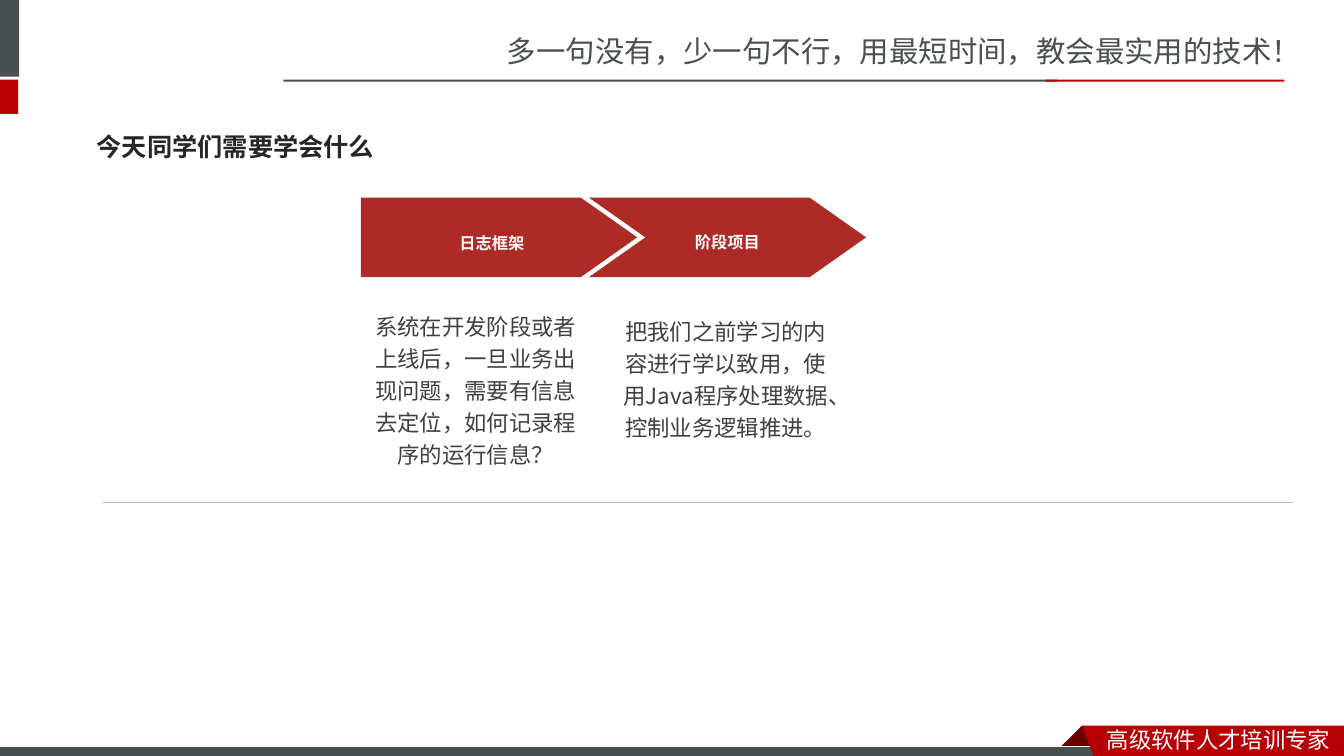
from dataclasses import dataclass

import pptx
import pptx.dml.color
import pptx.enum.shapes
import pptx.enum.text
import pptx.oxml
import pptx.oxml.ns
import pptx.util
from pptx.util import Inches

SHAPES = pptx.enum.shapes.MSO_SHAPE
ALIGN = pptx.enum.text.PP_ALIGN
ANCHOR = pptx.enum.text.MSO_ANCHOR


@dataclass(frozen=True)
class Theme:
    slate: str = "49504F"
    red: str = "B60004"
    fold_red: str = "680000"
    step_red: str = "AD2A26"
    white: str = "FFFFFF"
    title_ink: str = "262626"
    body_ink: str = "404040"
    divider: str = "BFBFBF"
    slogan_size: float = 21
    title_size: float = 18
    label_size: float = 20
    body_size: float = 16
    brand_font: str = "Noto Sans CJK SC"
    body_font: str = "Noto Sans CJK JP"
    title_font: str = "DejaVu Sans Mono"


THEME = Theme()


def rgb(color):
    return pptx.dml.color.RGBColor.from_string(color)


def paint(shape, color, outline=None):
    shape.shadow.inherit = False
    shape.fill.solid()
    shape.fill.fore_color.rgb = rgb(color)
    if outline:
        shape.line.color.rgb = rgb(outline)
        shape.line.width = pptx.util.Pt(0.75)
    else:
        shape.line.fill.background()


def add_preset(slide, preset, box, color, outline=None):
    shape = slide.shapes.add_shape(preset, *map(Inches, box))
    paint(shape, color, outline)
    return shape


def add_polygon(slide, points, color):
    corners = [(Inches(x), Inches(y)) for x, y in points]
    builder = slide.shapes.build_freeform(*corners[0])
    builder.add_line_segments(corners[1:], close=True)
    paint(builder.convert_to_shape(), color)


def write(frame, text, size, font, color, bold=False, align=ALIGN.LEFT,
          anchor=ANCHOR.TOP, spacing=1.0):
    """Fill a text frame with one paragraph and return its run."""
    frame.word_wrap = True
    frame.auto_size = pptx.enum.text.MSO_AUTO_SIZE.NONE
    frame.vertical_anchor = anchor
    paragraph = frame.paragraphs[0]
    paragraph.alignment = align
    paragraph.line_spacing = spacing
    paragraph.font.size = pptx.util.Pt(size)
    paragraph.font.name = font
    paragraph.font.bold = bold
    paragraph.font.color.rgb = rgb(color)
    run = paragraph.add_run()
    run.text = text
    east_asian = pptx.oxml.parse_xml(
        f'<a:ea {pptx.oxml.ns.nsdecls("a")} typeface="{font}"/>')
    run._r.get_or_add_rPr().append(east_asian)
    return run


def add_text(slide, box, *args, **options):
    frame = slide.shapes.add_textbox(*map(Inches, box)).text_frame
    return write(frame, *args, **options)


def add_step(slide, preset, box, label, label_box, label_spacing, detail, detail_box):
    arrow = add_preset(slide, preset, box, THEME.step_red)
    arrow.adjustments[0] = 0.71
    run = add_text(slide, label_box, label, THEME.label_size, THEME.body_font,
                   THEME.white, bold=True, align=ALIGN.CENTER,
                   anchor=ANCHOR.MIDDLE, spacing=label_spacing)
    run._r.get_or_add_rPr().set("baseline", "-3000")
    add_text(slide, detail_box, detail, THEME.body_size, THEME.body_font,
             THEME.body_ink, align=ALIGN.CENTER, spacing=1.2)


def add_divider(slide, left, right, y):
    line = slide.shapes.add_connector(
        pptx.enum.shapes.MSO_CONNECTOR.STRAIGHT,
        Inches(left), Inches(y), Inches(right), Inches(y))
    line.line.color.rgb = rgb(THEME.divider)
    line.line.width = pptx.util.Pt(0.25)
    line._element.spPr.append(
        pptx.oxml.parse_xml(f'<a:effectLst {pptx.oxml.ns.nsdecls("a")}/>'))


def add_header(slide):
    add_text(slide, (4.93, 0.28, 8.41, 0.47),
             "多一句没有，少一句不行，用最短时间，教会最实用的技术！",
             THEME.slogan_size, THEME.brand_font, THEME.slate)
    for box, color in (
        ((0, 0, 0.19, 0.76), THEME.slate),
        ((0, 0.79, 0.18, 0.34), THEME.red),
        ((2.81, 0.79, 7.68, 0.02), THEME.slate),
        ((10.37, 0.79, 2.37, 0.02), THEME.red),
    ):
        add_preset(slide, SHAPES.RECTANGLE, box, color)


def add_footer(slide):
    add_polygon(slide, [(10.73, 7.2), (10.95, 7.42), (10.94, 7.43),
                        (10.52, 7.43), (10.51, 7.42)], THEME.fold_red)
    add_preset(slide, SHAPES.RECTANGLE, (-0.01, 7.41, 11, 0.12),
               THEME.slate, THEME.white)
    add_polygon(slide, [(10.73, 7.2), (13.33, 7.2), (13.33, 7.54),
                        (10.86, 7.53)], THEME.red)
    add_text(slide, (10.88, 7.15, 2.45, 0.37), "高级软件人才培训专家",
             THEME.body_size, THEME.brand_font, THEME.white)


def add_title(slide):
    title = slide.shapes.title
    title.left, title.top, title.width, title.height = map(
        Inches, (0.86, 1.17, 4.08, 0.57))
    write(title.text_frame, "今天同学们需要学会什么", THEME.title_size,
          THEME.title_font, THEME.title_ink, bold=True, anchor=ANCHOR.MIDDLE)


def main():
    deck = pptx.Presentation()
    deck.slide_width, deck.slide_height = Inches(13.33), Inches(7.5)
    slide = deck.slides.add_slide(deck.slide_layouts.get_by_name("Title Only"))
    add_header(slide)
    add_footer(slide)
    add_title(slide)
    add_step(slide, SHAPES.PENTAGON, (3.58, 1.96, 2.74, 0.79),
             "日志框架", (3.57, 2.19, 2.62, 0.33), 1.0,
             "系统在开发阶段或者上线后，一旦业务出现问题，需要有信息去定位，如何记录程序的运行信息？",
             (3.61, 3, 2.22, 1.7))
    add_step(slide, SHAPES.CHEVRON, (5.84, 1.96, 2.75, 0.79),
             "阶段项目", (5.48, 2.13, 3.47, 0.36), 1.2,
             "把我们之前学习的内容进行学以致用，使用Java程序处理数据、控制业务逻辑推进。",
             (6.05, 3.05, 2.3, 1.39))
    add_divider(slide, 1.01, 12.82, 4.98)
    deck.save("out.pptx")


if __name__ == "__main__":
    main()
